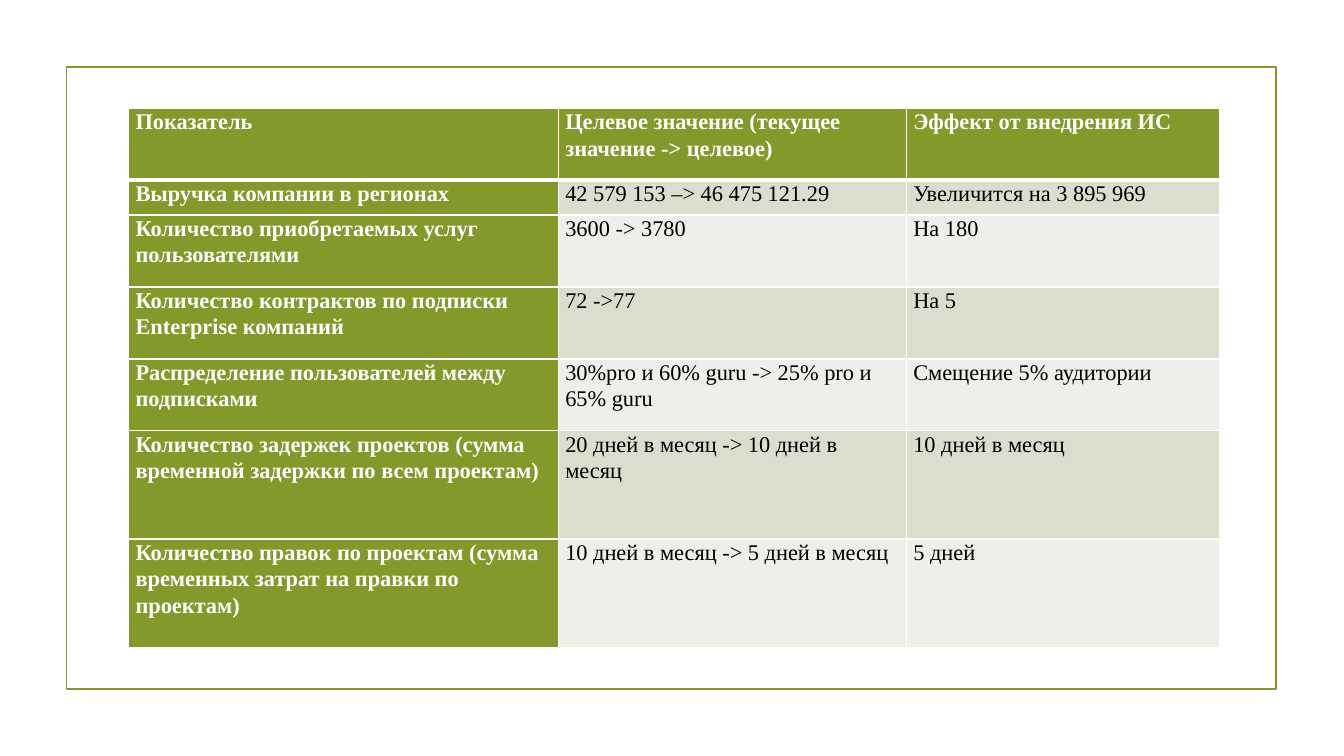
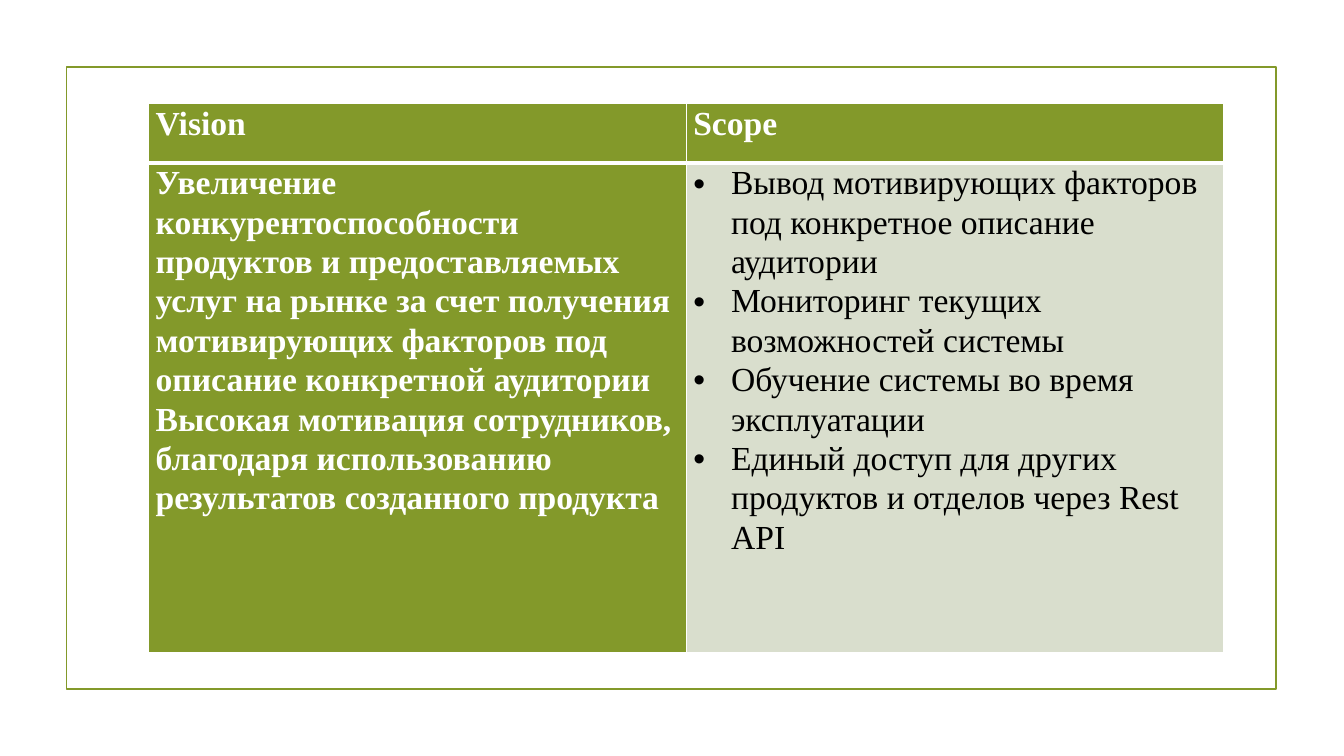
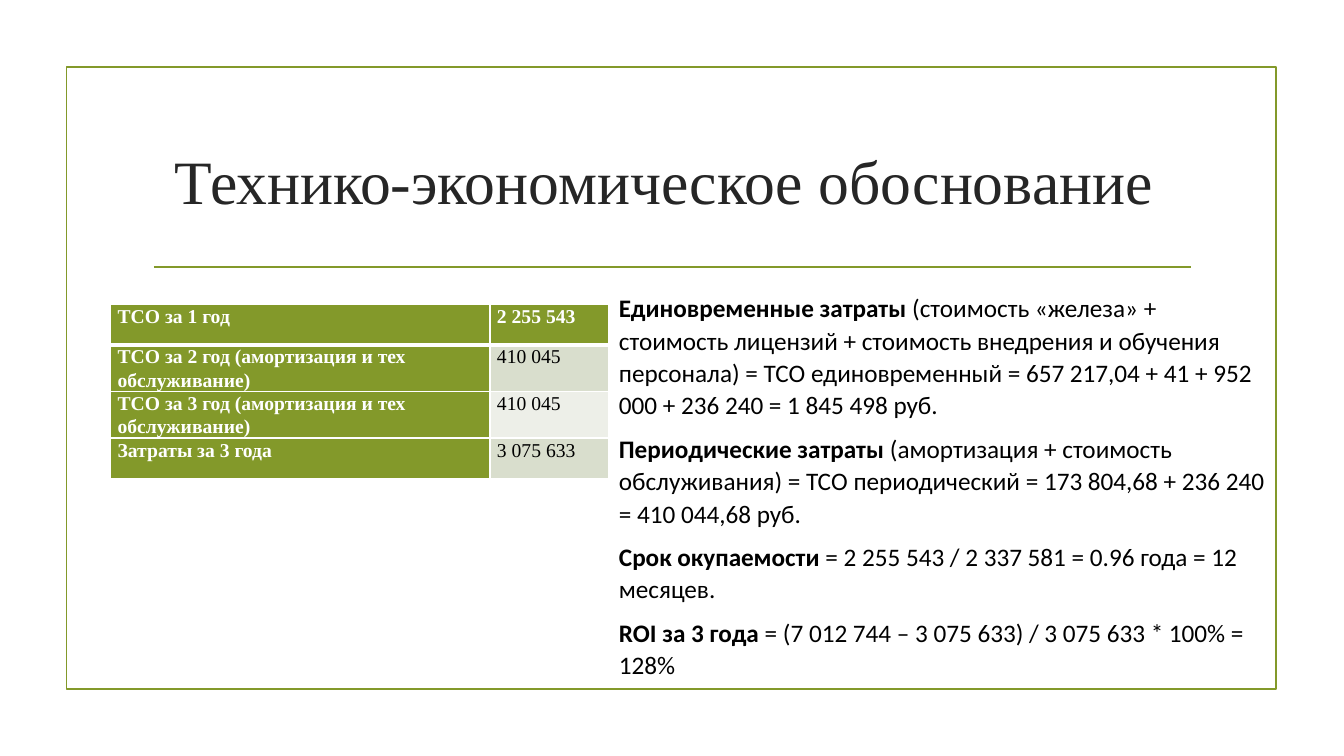
from lxml.etree import SubElement
from pptx import Presentation
from pptx.dml.color import RGBColor
from pptx.enum.shapes import MSO_CONNECTOR, MSO_SHAPE
from pptx.enum.text import MSO_ANCHOR, MSO_AUTO_SIZE, PP_ALIGN
from pptx.oxml import parse_xml
from pptx.oxml.ns import nsdecls, qn
from pptx.util import Pt

OLIVE, WHITE, BLACK, INK = "83992A", "FFFFFF", "000000", "262626"
BANDS = ["EDEFE8", "D9DECD"]
SERIF, SANS = "Times New Roman", "Calibri"


def paint(color_format, hex_color):
    color_format.rgb = RGBColor.from_string(hex_color)


def add_grid(slide, left, top, widths, heights, rows, size, spacing, bulleted=()):
    grid = slide.shapes.add_table(
        len(rows), len(widths), Pt(left), Pt(top), Pt(sum(widths)), Pt(sum(heights))
    ).table
    for column, width in zip(grid.columns, widths):
        column.width = Pt(width)
    for row, height in zip(grid.rows, heights):
        row.height = Pt(height)
    for r, row in enumerate(rows):
        for c, text in enumerate(row):
            cell = grid.cell(r, c)
            accented = r == 0 or c == 0
            cell.margin_left = cell.margin_right = Pt(5)
            cell.margin_top = cell.margin_bottom = 0
            cell.fill.solid()
            paint(cell.fill.fore_color, OLIVE if accented else BANDS[r % 2])
            borders = {"lnL": 1, "lnR": 1, "lnT": 3 if r == 1 else 1, "lnB": 3 if r == 0 else 1}
            for place, (side, weight) in enumerate(borders.items()):
                cell._tc.get_or_add_tcPr().insert(place, parse_xml(
                    f'<a:{side} {nsdecls("a")} w="{Pt(weight)}"><a:solidFill>'
                    f'<a:srgbClr val="{WHITE}"/></a:solidFill></a:{side}>'))
            cell.text_frame.text = text
            for paragraph in cell.text_frame.paragraphs:
                if (r, c) in bulleted:
                    properties = paragraph._p.get_or_add_pPr()
                    properties.set("marL", str(Pt(27)))
                    properties.set("indent", str(-Pt(27)))
                    SubElement(properties, qn("a:buFont")).set("typeface", "Arial")
                    SubElement(properties, qn("a:buChar")).set("char", "•")
                paragraph.line_spacing = spacing
                paragraph.font.name = SERIF
                paragraph.font.size = Pt(size)
                paragraph.font.bold = accented
                paint(paragraph.font.color, WHITE if accented else BLACK)


deck = Presentation()
deck.slide_width, deck.slide_height = Pt(960), Pt(540)
title_only, blank = deck.slide_layouts[5], deck.slide_layouts[6]
targets = deck.slides.add_slide(blank)

frame = targets.shapes.add_shape(MSO_SHAPE.RECTANGLE, Pt(47.5), Pt(48), Pt(864), Pt(444))
frame.fill.background()
frame.shadow.inherit = False
divider = targets.shapes.add_connector(
    MSO_CONNECTOR.STRAIGHT, Pt(110), Pt(190.6), Pt(850.5), Pt(190.6))
SubElement(divider.element.spPr, qn("a:effectLst"))
for ornament, owner in ((frame, deck.slide_master), (divider, title_only)):
    paint(ornament.line.color, OLIVE)
    ornament.line.width = Pt(1.25)
    ornament.element.xpath(".//p:cNvPr")[0].set("id", "100")
    owner.shapes.element.insert(2, ornament.element)
SubElement(divider.element.spPr, qn("a:effectLst")) if divider.element.spPr[-1].tag != qn("a:effectLst") else None

add_grid(targets, 91.8, 77.4, [307, 248.6, 224], [51, 25.2, 51.4, 51.4, 51.4, 77.3, 77.3], [
    ("Показатель", "Целевое значение (текущее значение -> целевое)", "Эффект от внедрения ИС"),
    ("Выручка компании в регионах", "42 579 153 –> 46 475 121.29", "Увеличится на 3 895 969"),
    ("Количество приобретаемых услуг пользователями", "3600 -> 3780", "На 180"),
    ("Количество контрактов по подписки Enterprise компаний", "72 ->77", "На 5"),
    ("Распределение пользователей между подписками",
     "30%pro и 60% guru -> 25% pro и 65% guru", "Смещение 5% аудитории"),
    ("Количество задержек проектов (сумма временной задержки по всем проектам)",
     "20 дней в месяц -> 10 дней в месяц", "10 дней в месяц"),
    ("Количество правок по проектам (сумма временных затрат на правки по проектам)",
     "10 дней в месяц -> 5 дней в месяц", "5 дней"),
], 16, 1.06)

vision = deck.slides.add_slide(blank)
add_grid(vision, 106.2, 74, [384, 384], [42.2, 350], [
    ("Vision", "Scope"),
    ("Увеличение конкурентоспособности продуктов и предоставляемых услуг на рынке за счет "
     "получения мотивирующих факторов под описание конкретной аудитории\n"
     "Высокая мотивация сотрудников, благодаря использованию результатов созданного продукта",
     "Вывод мотивирующих факторов под конкретное описание аудитории\n"
     "Мониторинг текущих возможностей системы\n"
     "Обучение системы во время эксплуатации\n"
     "Единый доступ для других продуктов и отделов через Rest API"),
], 24, 1.06, bulleted=[(1, 1)])

economics = deck.slides.add_slide(title_only)
title = economics.shapes.title
title.left, title.top, title.width, title.height = Pt(102), Pt(77), Pt(756), Pt(103)
title.text_frame.text = "Технико-экономическое обоснование "
title.text_frame.vertical_anchor = MSO_ANCHOR.MIDDLE
heading = title.text_frame.paragraphs[0]
heading.alignment = PP_ALIGN.CENTER
heading.font.name = SERIF
heading.font.size = Pt(44)
paint(heading.font.color, INK)

add_grid(economics, 79, 217.4, [271, 85], [29, 33, 33.4, 29], [
    ("ТСО за 1 год", "2 255 543"),
    ("ТСО за 2 год (амортизация и тех обслуживание)", "410 045"),
    ("ТСО за 3 год (амортизация и тех обслуживание)", "410 045"),
    ("Затраты за 3 года", "3 075 633"),
], 14, 1.07)

calculations = economics.shapes.add_textbox(Pt(435), Pt(204), Pt(480), Pt(288)).text_frame
calculations.word_wrap = True
calculations.auto_size = MSO_AUTO_SIZE.SHAPE_TO_FIT_TEXT
for i, (term, formula) in enumerate([
    ("Единовременные затраты",
     " (стоимость «железа» + стоимость лицензий + стоимость внедрения и обучения персонала)"
     " = ТСО единовременный = 657 217,04 + 41 + 952 000 + 236 240 = 1 845 498 руб."),
    ("Периодические затраты",
     " (амортизация + стоимость обслуживания) = ТСО периодический"
     " = 173 804,68 + 236 240 = 410 044,68 руб."),
    ("Срок окупаемости", " = 2 255 543 / 2 337 581 = 0.96 года = 12 месяцев."),
    ("ROI за 3 года", " = (7 012 744 – 3 075 633) / 3 075 633 * 100% = 128%"),
]):
    paragraph = calculations.add_paragraph() if i else calculations.paragraphs[0]
    paragraph.line_spacing = 1.07
    paragraph.space_after = Pt(8)
    paragraph.font.name = SANS
    paragraph.font.size = Pt(18)
    paint(paragraph.font.color, BLACK)
    for text, bold in ((term, True), (formula, False)):
        run = paragraph.add_run()
        run.text = text
        run.font.bold = bold

deck.save("out.pptx")
